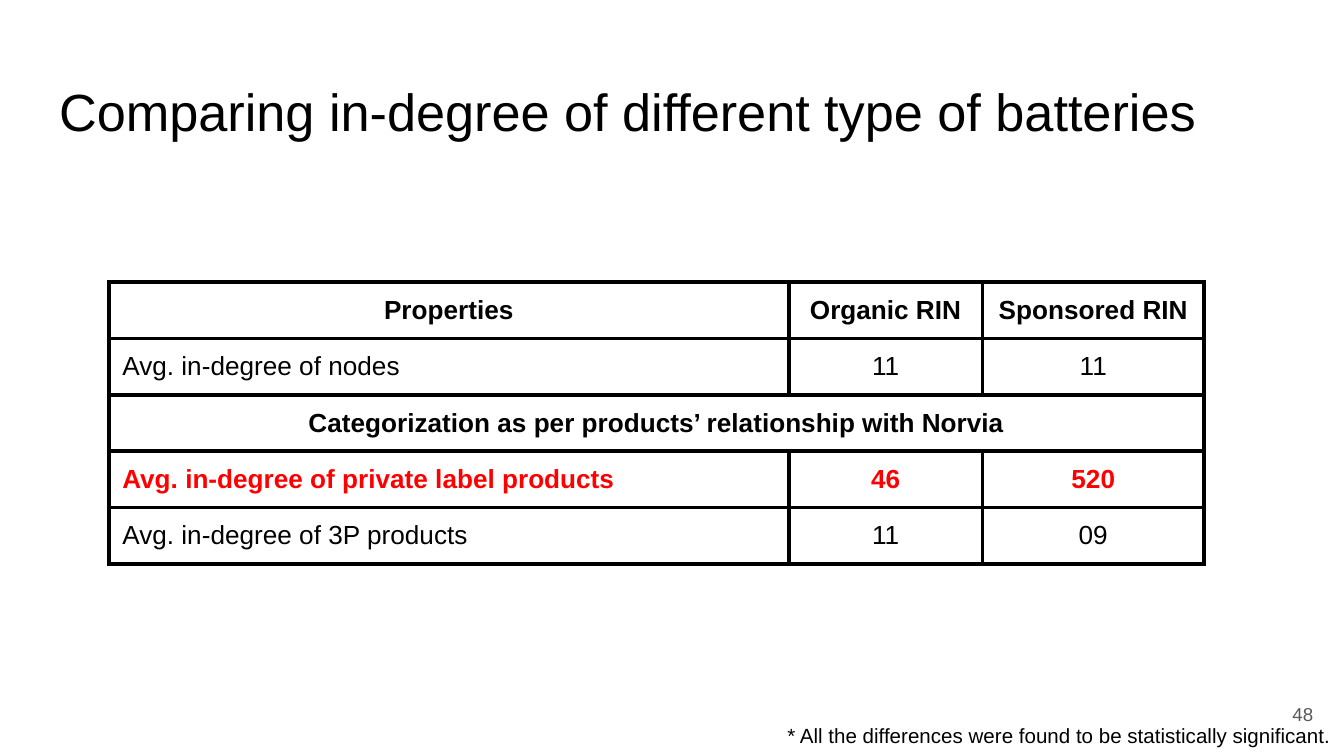
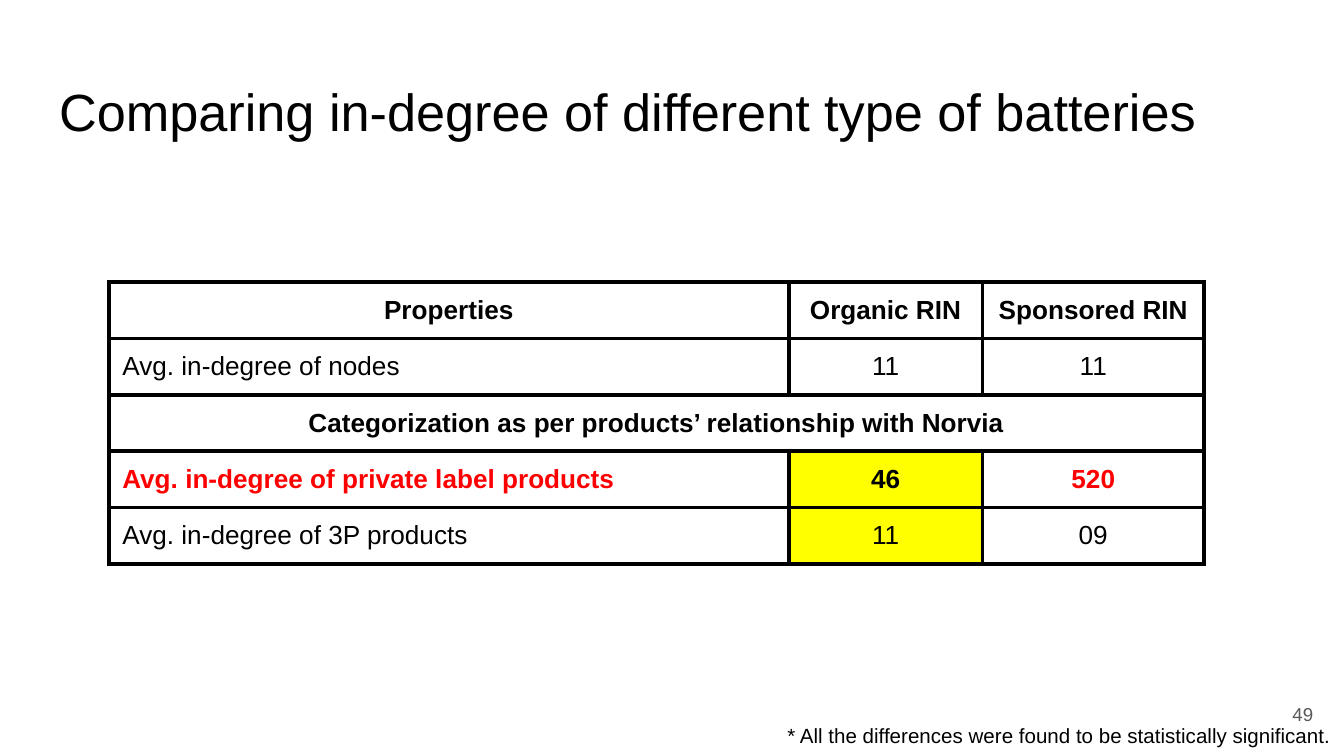
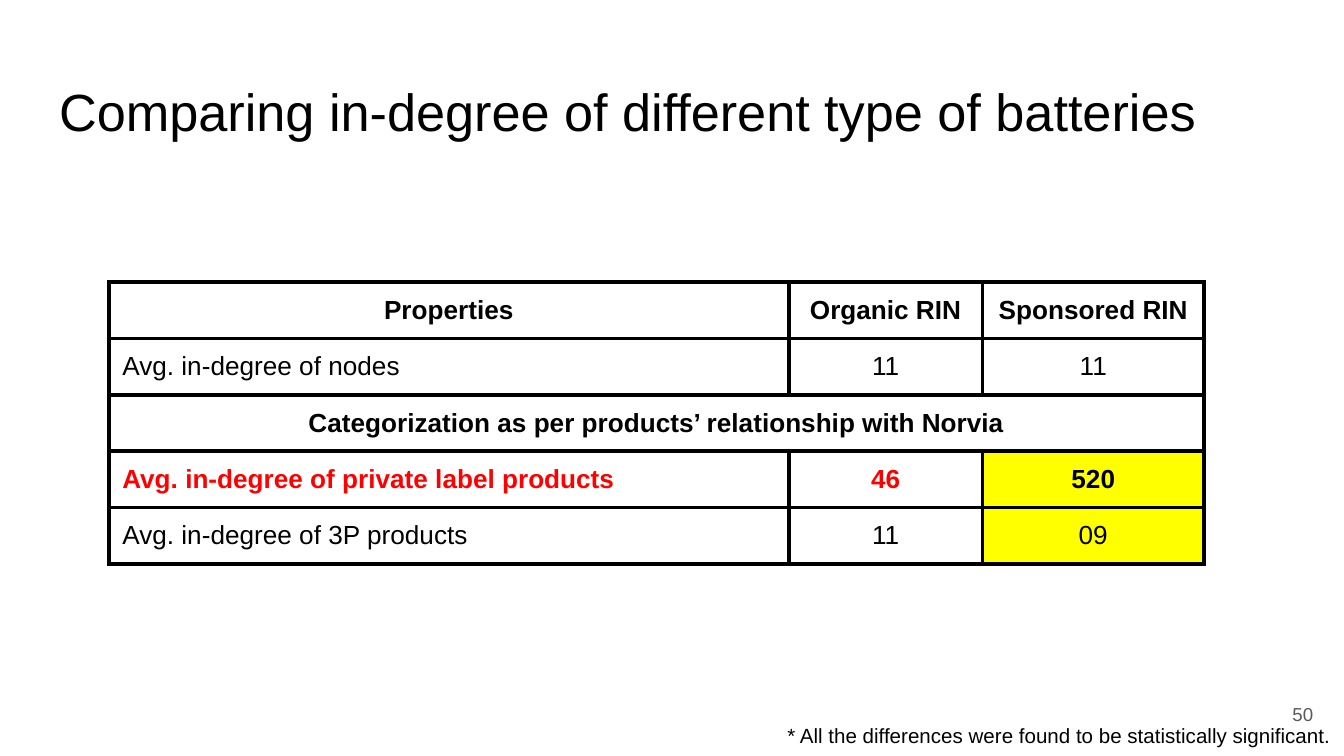
from dataclasses import dataclass

from lxml import etree
from pptx import Presentation
from pptx.dml.color import RGBColor
from pptx.enum.text import MSO_ANCHOR, MSO_AUTO_SIZE, PP_ALIGN
from pptx.oxml.ns import qn
from pptx.slide import Slide
from pptx.table import _Cell
from pptx.text.text import TextFrame
from pptx.util import Pt

BLACK = RGBColor(0x00, 0x00, 0x00)
RED = RGBColor(0xFF, 0x00, 0x00)
YELLOW = RGBColor(0xFF, 0xFF, 0x00)
GREY = RGBColor(0x59, 0x59, 0x59)

LEFT, CENTER, RIGHT = PP_ALIGN.LEFT, PP_ALIGN.CENTER, PP_ALIGN.RIGHT
TOP, MIDDLE = MSO_ANCHOR.TOP, MSO_ANCHOR.MIDDLE
NO_FIT = MSO_AUTO_SIZE.NONE

FONT = "Arial"
INSET = Pt(7.2)
BORDER = Pt(2.25)
TITLE = "Comparing in-degree of different type of batteries"
NOTE = "* All the differences were found to be statistically significant."
TITLE_ONLY = 5

TABLE_LEFT, TABLE_TOP = Pt(58.3), Pt(151.2)
WIDTHS = (Pt(364.3), Pt(103.7), Pt(118.8))
ROW_HEIGHT = Pt(30.2)


@dataclass(frozen=True)
class Style:
    size: float
    color: RGBColor = BLACK
    align: PP_ALIGN = LEFT
    bold: bool = False


@dataclass(frozen=True)
class Box:
    left: float
    top: float
    width: float
    height: float
    style: Style
    anchor: MSO_ANCHOR = TOP
    right_inset: float = 7.2


@dataclass(frozen=True)
class Row:
    cells: tuple[str, ...]
    bold: bool = False
    color: RGBColor = BLACK
    header: bool = False


@dataclass(frozen=True)
class Page:
    number: int
    marked: int | None = None  # column shown in yellow


TITLE_BOX = Box(24.5, 35.3, 671, 45.4, Style(28))
NOTE_BOX = Box(414.7, 380.2, 305.3, 24.8, Style(11), right_inset=0)
NUMBER_BOX = Box(667.4, 367.2, 43.2, 31, Style(10, GREY, RIGHT), MIDDLE)

ROWS = (
    Row(("Properties", "Organic RIN", "Sponsored RIN"), bold=True, header=True),
    Row(("Avg. in-degree of nodes", "11", "11")),
    Row(("Categorization as per products’ relationship with Norvia",),
        bold=True, header=True),
    Row(("Avg. in-degree of private label products", "46", "520"),
        bold=True, color=RED),
    Row(("Avg. in-degree of 3P products", "11", "09")),
)
MARKED_ROWS = ROWS[3:]
PAGES = (Page(48), Page(49, 1), Page(50, 2))


def write(frame: TextFrame, text: str, style: Style) -> None:
    frame.text = text
    par = frame.paragraphs[0]
    par.alignment = style.align
    for run in par.runs:
        font = run.font
        font.name, font.size, font.bold = FONT, Pt(style.size), style.bold
        font.color.rgb = style.color


def fill_box(shape, box: Box, text: str) -> None:
    """Place a text box or placeholder and set its text."""
    shape.left, shape.top = Pt(box.left), Pt(box.top)
    shape.width, shape.height = Pt(box.width), Pt(box.height)
    frame = shape.text_frame
    frame.word_wrap, frame.auto_size = True, NO_FIT
    frame.vertical_anchor = box.anchor
    frame.margin_left = frame.margin_top = frame.margin_bottom = INSET
    frame.margin_right = Pt(box.right_inset)
    write(frame, text, box.style)


def add_text(slide: Slide, box: Box, text: str) -> None:
    fill_box(slide.shapes.add_textbox(0, 0, 0, 0), box, text)


def frame_cell(cell: _Cell) -> None:
    """Draw the four borders of a cell."""
    props = cell._tc.get_or_add_tcPr()
    for place, side in enumerate(("a:lnL", "a:lnR", "a:lnT", "a:lnB")):
        line = etree.Element(qn(side), w=str(BORDER))
        paint = etree.SubElement(line, qn("a:solidFill"))
        etree.SubElement(paint, qn("a:srgbClr"), val=str(BLACK))
        props.insert(place, line)


def add_grid(slide: Slide, marked: int | None) -> None:
    grid = slide.shapes.add_table(
        len(ROWS), len(WIDTHS), TABLE_LEFT, TABLE_TOP,
        sum(WIDTHS), ROW_HEIGHT * len(ROWS)).table
    grid.first_row = grid.horz_banding = False
    for col, width in zip(grid.columns, WIDTHS):
        col.width = width
    for r, row in enumerate(ROWS):
        grid.rows[r].height = ROW_HEIGHT
        for c in range(len(WIDTHS)):
            cell = grid.cell(r, c)
            cell.fill.background()
            frame_cell(cell)
        if len(row.cells) == 1:
            grid.cell(r, 0).merge(grid.cell(r, len(WIDTHS) - 1))
        for c, text in enumerate(row.cells):
            cell = grid.cell(r, c)
            cell.margin_left = cell.margin_right = INSET
            cell.margin_top = cell.margin_bottom = INSET
            color = row.color
            if c == marked and row in MARKED_ROWS:
                color = BLACK
                cell.fill.solid()
                cell.fill.fore_color.rgb = YELLOW
            align = CENTER if row.header or c else LEFT
            write(cell.text_frame, text, Style(14, color, align, row.bold))


def main() -> None:
    deck = Presentation()
    deck.slide_width, deck.slide_height = Pt(720), Pt(405)
    for page in PAGES:
        slide = deck.slides.add_slide(deck.slide_layouts[TITLE_ONLY])
        fill_box(slide.shapes.title, TITLE_BOX, TITLE)
        add_grid(slide, page.marked)
        add_text(slide, NOTE_BOX, NOTE)
        add_text(slide, NUMBER_BOX, str(page.number))
    deck.save("out.pptx")


if __name__ == "__main__":
    main()
